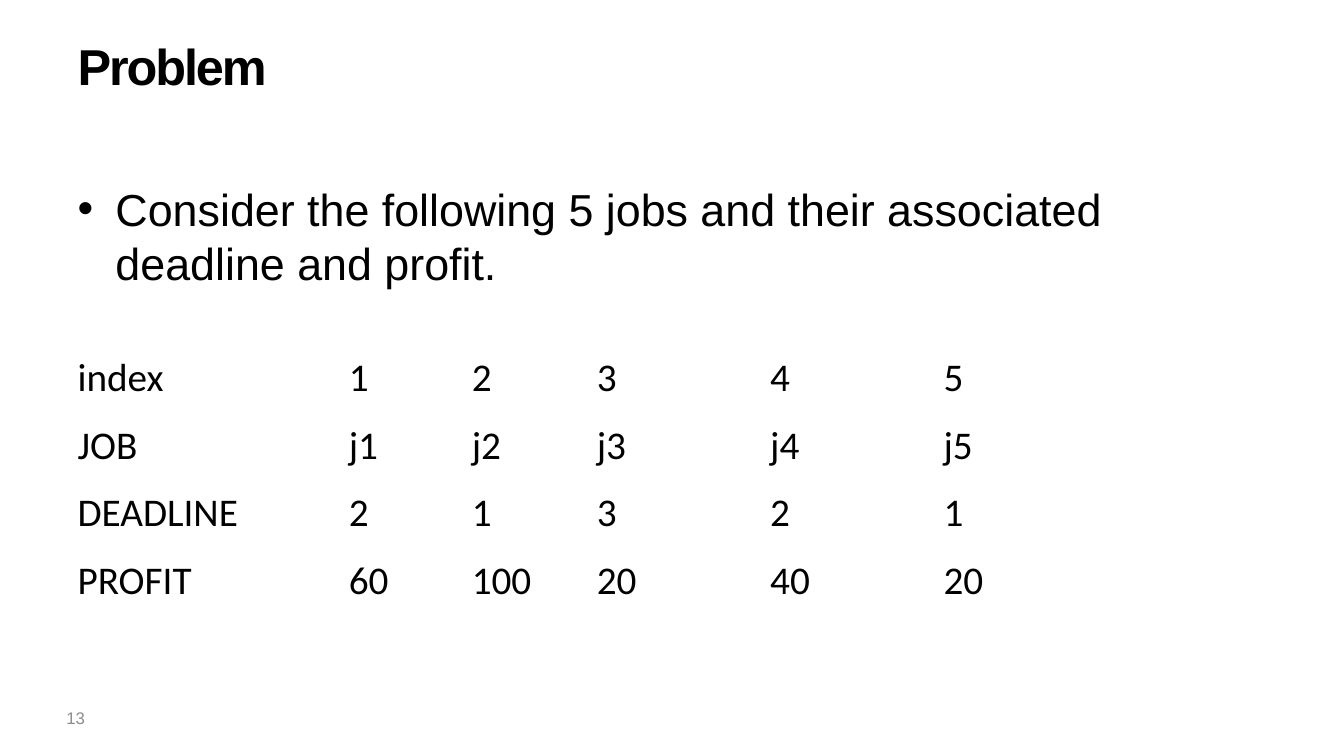
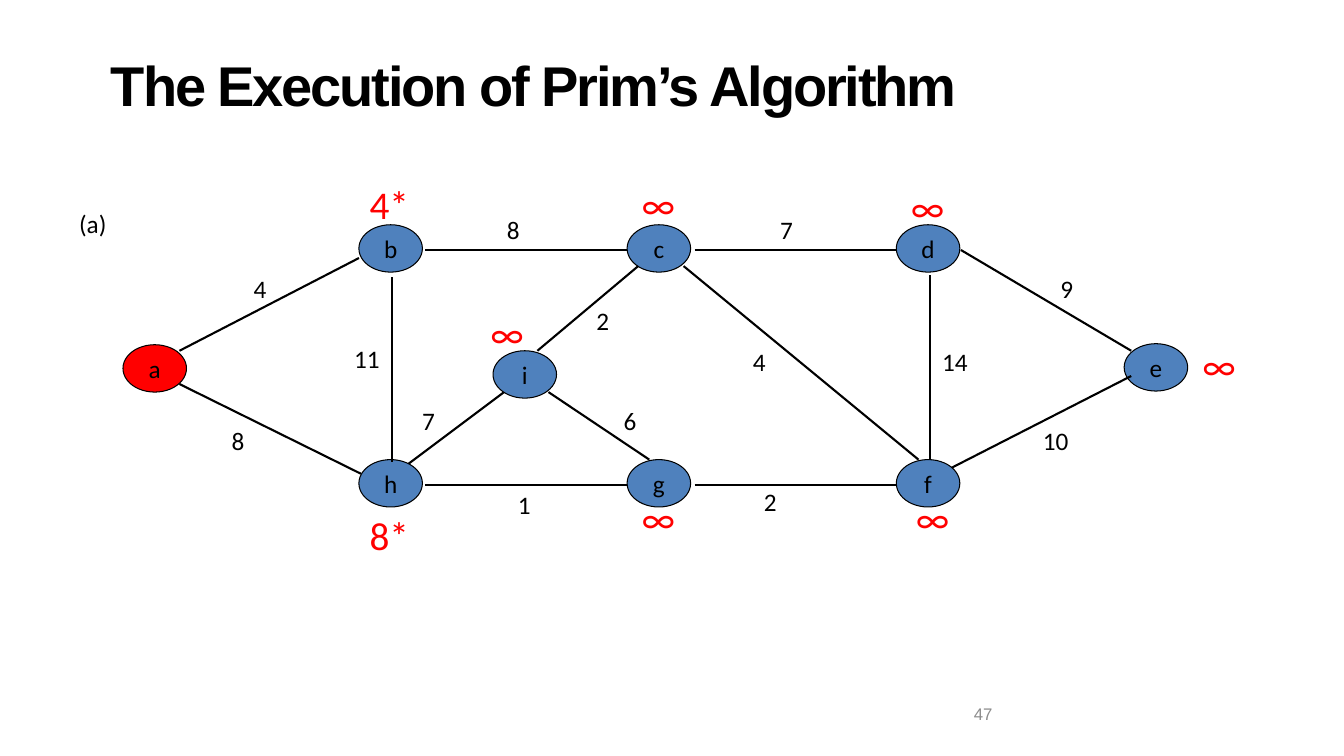
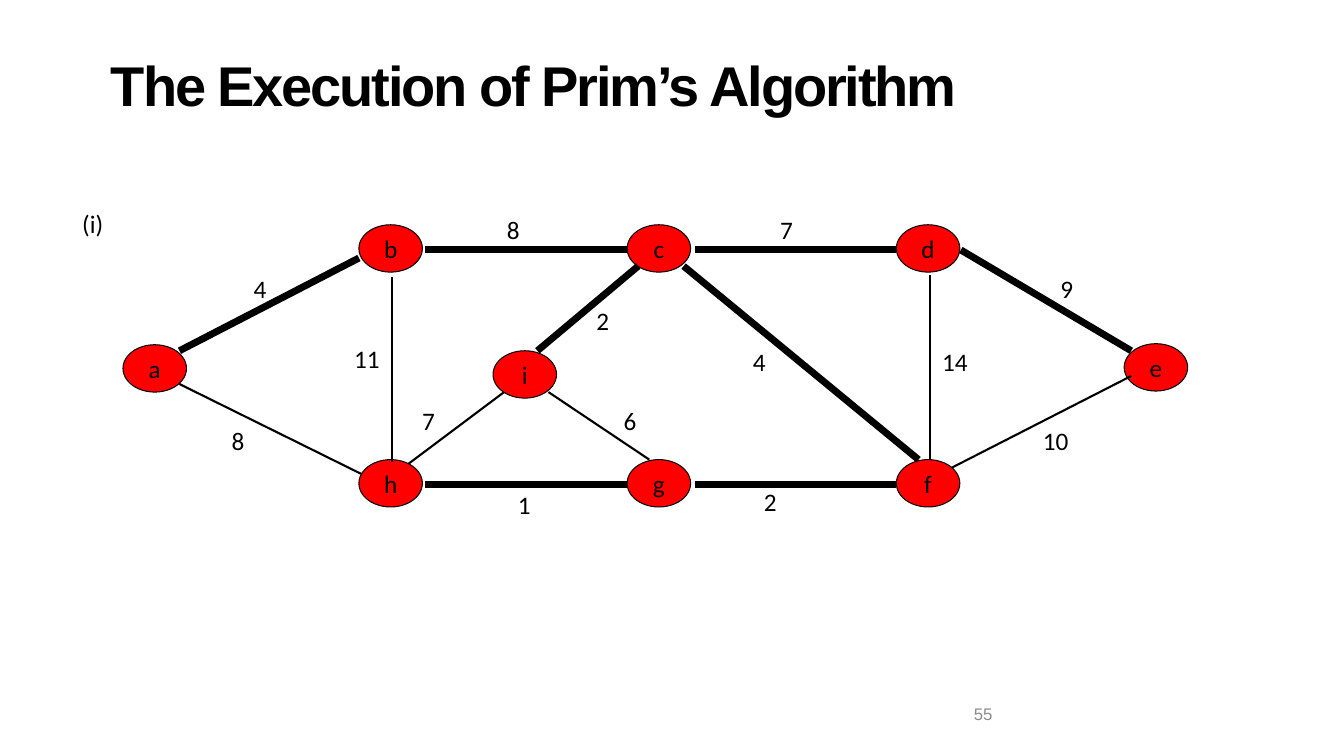
"""Build three slides on job scheduling and Prim's algorithm."""
from dataclasses import dataclass

from lxml import etree
from pptx import Presentation
from pptx.dml.color import RGBColor
from pptx.enum.shapes import MSO_CONNECTOR, MSO_SHAPE
from pptx.enum.text import MSO_ANCHOR, MSO_AUTO_SIZE, PP_ALIGN
from pptx.oxml.ns import qn
from pptx.util import Pt

EMU_PER_PX = 9144
SLIDE_WIDTH, SLIDE_HEIGHT = 1333, 750
LEFT, CENTER = PP_ALIGN.LEFT, PP_ALIGN.CENTER
TOP, MIDDLE = MSO_ANCHOR.TOP, MSO_ANCHOR.MIDDLE
NO_AUTOFIT = MSO_AUTO_SIZE.NONE
ELLIPSE = MSO_SHAPE.OVAL
STRAIGHT = MSO_CONNECTOR.STRAIGHT
LAYOUT_CONTENT, LAYOUT_TITLE_ONLY = 1, 5


@dataclass(frozen=True)
class Theme:
    """Colours, fonts and type sizes shared by the slides."""

    ink: str = "000000"
    muted: str = "8C8C8C"
    reached: str = "FF0000"
    waiting: str = "4F81BD"
    key: str = "FF0101"
    heading_font: str = "Arial"
    figure_font: str = "Calibri"
    title_small: int = 36
    title_large: int = 40
    body: int = 32
    cell: int = 28
    label: int = 18
    number: int = 12
    title_spacing: int = -150
    outline: float = 0.75
    edge: float = 1.5
    tree_edge: float = 5


THEME = Theme()

JOBS = (
    ("index", "1", "2", "3", "4", "5"),
    ("JOB", "j1", "j2", "j3", "j4", "j5"),
    ("DEADLINE", "2", "1", "3", "2", "1"),
    ("PROFIT", "60", "100", "20", "40", "20"),
)
JOB_COLUMNS = (269, 122, 124, 172, 172, 172)
JOB_ROW_HEIGHT = 67

NODE_SIZE = (63, 47)
LABEL_SIZE = (84, 39)
UPPER, LOWER = 223, 456
NODES = {
    "a": (122, 342), "b": (356, UPPER), "c": (622, UPPER),
    "d": (889, UPPER), "e": (1115, 341), "f": (889, LOWER),
    "g": (622, LOWER), "h": (356, LOWER), "i": (489, 348),
}
BACK_EDGES = {
    "bc": (422, 248, 622, 248),
    "hi": (500, 389, 400, 464),
    "ah": (178, 381, 358, 470),
    "gi": (544, 389, 644, 456),
}
FRONT_EDGES = {
    "ab": (178, 348, 356, 256),
    "gh": (422, 481, 622, 481),
    "cd": (689, 248, 889, 248),
    "fg": (689, 481, 889, 481),
    "de": (953, 248, 1122, 348),
    "ef": (944, 464, 1122, 373),
    "cf": (678, 264, 911, 456),
    "ci": (633, 264, 533, 348),
    "df": (922, 273, 922, 456),
    "bh": (389, 275, 389, 458),
}
WEIGHTS = {
    "ah": ("8", 194, 417), "bc": ("8", 467, 208), "ab": ("4", 216, 267),
    "gi": ("6", 583, 398), "hi": ("7", 383, 398), "ci": ("2", 556, 298),
    "ef": ("10", 1005, 417), "cf": ("4", 711, 339), "df": ("14", 905, 339),
    "gh": ("1", 478, 481), "cd": ("7", 738, 208), "de": ("9", 1016, 267),
    "fg": ("2", 722, 478), "bh": ("11", 322, 336),
}
FIRST_KEYS = {
    "b": ("4*", 344, 183), "h": ("8*", 344, 511), "c": ("∞", 611, 183),
    "d": ("∞", 878, 186), "e": ("∞", 1167, 342), "f": ("∞", 883, 494),
    "g": ("∞", 611, 494), "i": ("∞", 461, 311),
}
SPANNING_TREE = ("ab", "bc", "ci", "cd", "cf", "fg", "gh", "de")


def px(*lengths):
    """Turn pixel lengths into EMU."""
    return [length * EMU_PER_PX for length in lengths]


def write(frame, text, *, size, font, color=THEME.ink, bold=False,
          align=LEFT, anchor=MIDDLE, wrap=True):
    """Put formatted text into a text frame."""
    frame.auto_size = NO_AUTOFIT
    frame.word_wrap = wrap
    frame.vertical_anchor = anchor
    paragraph = frame.paragraphs[0]
    paragraph.alignment = align
    run = paragraph.add_run()
    run.text = text
    run.font.name = font
    run.font.size = Pt(size)
    run.font.bold = bold
    run.font.color.rgb = RGBColor.from_string(color)


class Deck:
    """Hold the theme, the presentation and the current slide."""

    def __init__(self, theme):
        """Start an empty widescreen presentation."""
        self.theme = theme
        self.presentation = Presentation()
        self.presentation.slide_width, self.presentation.slide_height = px(
            SLIDE_WIDTH, SLIDE_HEIGHT)
        self.slide = None

    def new_slide(self, layout):
        """Add a slide and make it current."""
        self.slide = self.presentation.slides.add_slide(
            self.presentation.slide_layouts[layout])

    def place(self, placeholder, box):
        """Move a placeholder to a box."""
        (placeholder.left, placeholder.top,
         placeholder.width, placeholder.height) = px(*box)

    def title(self, text, box, size, anchor=MIDDLE):
        """Fill the title with tight bold type."""
        heading = self.slide.shapes.title
        self.place(heading, box)
        write(heading.text_frame, text, size=size, bold=True,
              font=self.theme.heading_font, anchor=anchor)
        for properties in heading.element.iter(qn("a:rPr")):
            properties.set("spc", str(self.theme.title_spacing))

    def bullet(self, text, box):
        """Fill the body placeholder with one bullet."""
        body = self.slide.placeholders[1]
        self.place(body, box)
        write(body.text_frame, text, size=self.theme.body,
              font=self.theme.heading_font, anchor=TOP)

    def page_number(self, number, box):
        """Show the page number."""
        footer = self.slide.shapes.add_textbox(*px(*box))
        write(footer.text_frame, number, size=self.theme.number,
              font=self.theme.heading_font, color=self.theme.muted)

    def table(self, rows, left, top, widths, row_height):
        """Draw a plain table without fills."""
        grid = self.slide.shapes.add_table(
            len(rows), len(widths),
            *px(left, top, sum(widths), row_height * len(rows))).table
        grid.first_row = False
        grid.horz_banding = False
        for column, width in zip(grid.columns, px(*widths)):
            column.width = width
        for row, values in zip(grid.rows, rows):
            for cell, value in zip(row.cells, values):
                cell.fill.background()
                cell.vertical_anchor = MIDDLE
                write(cell.text_frame, value, size=self.theme.cell,
                      font=self.theme.figure_font)

    def node(self, name, left, top, color):
        """Draw a graph vertex."""
        vertex = self.slide.shapes.add_shape(
            ELLIPSE, *px(left, top, *NODE_SIZE))
        vertex.shadow.inherit = False
        vertex.fill.solid()
        vertex.fill.fore_color.rgb = RGBColor.from_string(color)
        vertex.line.color.rgb = RGBColor.from_string(self.theme.ink)
        vertex.line.width = Pt(self.theme.outline)
        write(vertex.text_frame, name, size=self.theme.label,
              font=self.theme.figure_font, align=CENTER, wrap=False)

    def edge(self, ends, weight):
        """Draw a graph edge."""
        link = self.slide.shapes.add_connector(STRAIGHT, *px(*ends))
        link.line.color.rgb = RGBColor.from_string(self.theme.ink)
        link.line.width = Pt(weight)
        etree.SubElement(link.element.spPr, qn("a:effectLst"))

    def label(self, text, left, top, size, color):
        """Write a centred label of the graph."""
        caption = self.slide.shapes.add_textbox(*px(left, top, *LABEL_SIZE))
        write(caption.text_frame, text, size=size, color=color,
              font=self.theme.figure_font, align=CENTER, wrap=False)

    def edges(self, group, tree):
        """Draw a group of edges, with those of the tree thick."""
        for pair, ends in group.items():
            self.edge(ends, self.theme.tree_edge if pair in tree
                      else self.theme.edge)

    def prim_step(self, step, number, reached, tree=(), keys=None):
        """Add a slide with one step of Prim's algorithm."""
        theme = self.theme
        self.new_slide(LAYOUT_TITLE_ONLY)
        self.page_number(number, (956, 683, 278, 50))
        self.title("The Execution of Prim’s Algorithm",
                   (100, 21, 1133, 125), theme.title_large)
        self.edges(BACK_EDGES, tree)
        for name, corner in NODES.items():
            self.node(name, *corner,
                      theme.reached if name in reached else theme.waiting)
        self.edges(FRONT_EDGES, tree)
        self.label(step, 50, 202, theme.label, theme.ink)
        for weight in WEIGHTS.values():
            self.label(*weight, theme.label, theme.ink)
        for key in (keys or {}).values():
            self.label(*key, theme.cell, theme.key)


def main():
    """Build and save the slides."""
    deck = Deck(THEME)
    deck.new_slide(LAYOUT_CONTENT)
    deck.title("Problem", (67, 30, 1200, 125), THEME.title_small, anchor=TOP)
    deck.bullet("Consider the following 5 jobs and their associated "
                "deadline and profit.", (67, 175, 1200, 495))
    deck.page_number("13", (56, 692, 311, 40))
    deck.table(JOBS, 67, 342, JOB_COLUMNS, JOB_ROW_HEIGHT)
    deck.prim_step("(a)", "47", reached="a", keys=FIRST_KEYS)
    deck.prim_step("(i)", "55", reached=NODES, tree=SPANNING_TREE)
    deck.presentation.save("out.pptx")


if __name__ == "__main__":
    main()
